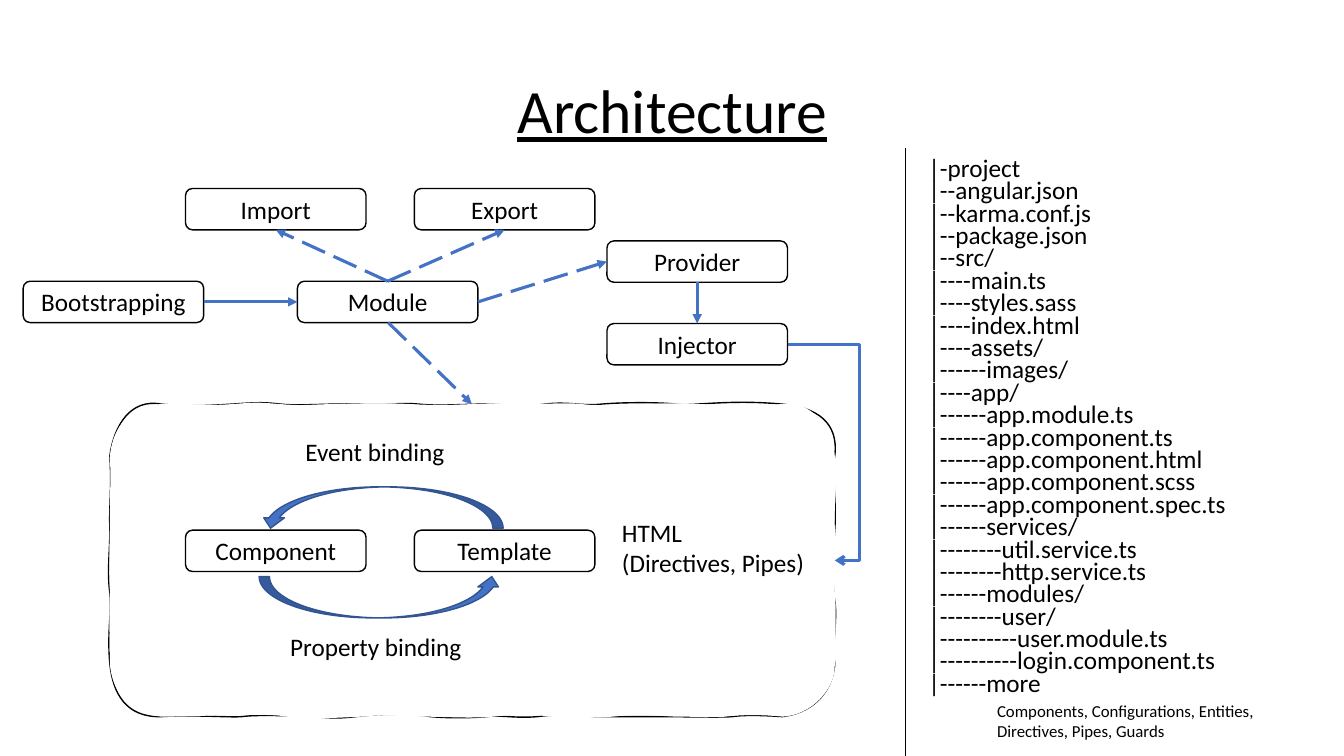
from pptx import Presentation
from pptx.util import Inches, Pt
from pptx.dml.color import RGBColor as Rgb
from pptx.enum.shapes import MSO_SHAPE as Shape, MSO_CONNECTOR as Link
from pptx.enum.dml import MSO_LINE as Dash
from pptx.enum.text import PP_ALIGN as Align, MSO_ANCHOR as Anchor, MSO_AUTO_SIZE as Fit
from pptx.oxml.ns import qn
from lxml.etree import SubElement as Sub

COLORS = {"ink": "000000", "paper": "FFFFFF", "blue": "4472C4", "navy": "325491"}
TOP, LEFT, BASE, RIGHT = range(4)


class Sketch:
    font = "Calibri"
    size = 18

    def __init__(self, slide):
        self.slide = slide
        self.area = slide.shapes

    def group(self):
        self.area = self.slide.shapes.add_group_shape().shapes

    def leave(self):
        self.area = self.slide.shapes

    def color(self, name):
        return Rgb.from_string(COLORS[name])

    def paint(self, item, fill, line):
        item.shadow.inherit = False
        item.fill.solid()
        item.fill.fore_color.rgb = self.color(fill)
        item.line.color.rgb = self.color(line)
        item.line.width = Pt(1)

    def put(self, part, text, size=None, under=None):
        run = part.add_run()
        run.text = text
        run.font.name = self.font
        run.font.size = Pt(size or self.size)
        run.font.underline = under
        run.font.color.rgb = self.color("ink")

    def box(self, text, x, y):
        item = self.area.add_shape(Shape.ROUNDED_RECTANGLE, Inches(x), Inches(y),
                                   Inches(1.79), Inches(0.41))
        self.paint(item, "paper", "ink")
        frame = item.text_frame
        frame.vertical_anchor = Anchor.MIDDLE
        part = frame.paragraphs[0]
        part.alignment = Align.CENTER
        self.put(part, text)
        return item

    def label(self, lines, x, y, wide, high=0.4, size=None):
        item = self.area.add_textbox(Inches(x), Inches(y), Inches(wide), Inches(high))
        frame = item.text_frame
        frame.word_wrap = True
        frame.auto_size = Fit.SHAPE_TO_FIT_TEXT
        for i, text in enumerate(lines):
            part = frame.add_paragraph() if i else frame.paragraphs[0]
            self.put(part, text, size)

    def title(self, text):
        item = self.area.add_textbox(Inches(0.92), Inches(0.4), Inches(11.5), Inches(1.45))
        frame = item.text_frame
        frame.word_wrap = True
        frame.vertical_anchor = Anchor.MIDDLE
        part = frame.paragraphs[0]
        part.alignment = Align.CENTER
        part.line_spacing = 0.9
        self.put(part, text, 44, True)

    def curve(self, x, y, turn):
        item = self.area.add_shape(Shape.CURVED_RIGHT_ARROW, Inches(x), Inches(y),
                                   Inches(0.41), Inches(2.41))
        item.rotation = turn
        self.paint(item, "blue", "navy")

    def line(self, start, end, kind=Link.STRAIGHT, color="blue", width=2.25,
             dash=False, head=None, tail=None):
        item = self.area.add_connector(kind, *map(Inches, start + end))
        item.line.color.rgb = self.color(color)
        item.line.width = Pt(width)
        if dash:
            item.line.dash_style = Dash.LONG_DASH
        props = item._element.spPr
        for tag, mark in (("a:headEnd", head), ("a:tailEnd", tail)):
            if mark:
                Sub(props.find(qn("a:ln")), qn(tag), type=mark)
        Sub(props, qn("a:effectLst"))
        return item

    def link(self, first, side, last, port, dash=False):
        item = self.line((0, 0), (1, 1), dash=dash, tail="triangle")
        item.begin_connect(first, side)
        item.end_connect(last, port)

    def elbow(self, start, end, bend):
        item = self.line(start, end, Link.ELBOW, head="arrow")
        geom = item._element.spPr.find(qn("a:prstGeom"))
        guides = geom.find(qn("a:avLst"))
        Sub(guides, qn("a:gd"), name="adj1", fmla=f"val {round(bend * 100000)}")

    def border(self, x, y, wide, high, tracks):
        maker = self.area.build_freeform(x, y, scale=Inches(0.01))
        maker.add_line_segments([(x + wide, y), (x + wide, y + high), (x, y + high)])
        item = maker.convert_to_shape()
        self.paint(item, "paper", "ink")
        route = item._element.spPr.find(qn("a:custGeom")).find(qn("a:pathLst"))
        for old in list(route):
            route.remove(old)
        for text, skip in tracks:
            nums = [int(n) for n in text.split()]
            spots = [(a - x, b - y) for a, b in zip(nums[::2], nums[1::2])]
            track = Sub(route, qn("a:path"), w=str(wide), h=str(high), **skip)
            self.step(track, "a:moveTo", spots[:1])
            for i in range(1, len(spots), 3):
                self.step(track, "a:cubicBezTo", spots[i:i + 3])
            Sub(track, qn("a:close"))

    def step(self, track, tag, spots):
        node = Sub(track, qn(tag))
        for x, y in spots:
            Sub(node, qn("a:pt"), x=str(x), y=str(y))


STROKE = """109 452 113 423 129 395 160 401 183 403 198 403 229 401 259 399 260 399 279 401
298 403 325 400 359 401 394 402 395 399 416 401 436 403 456 401 478 401
500 401 517 404 540 401 564 398 575 403 596 401 618 399 654 399 671 401
688 403 724 396 776 401 810 404 832 419 828 452 825 468 830 498 828 525
826 553 825 577 828 596 831 616 825 636 828 659 825 691 802 708 776 711
760 710 740 709 726 711 713 712 683 711 652 711 621 711 604 711 590 711
575 710 555 708 533 711 512 713 494 709 483 711 472 712 449 713 427 711
406 708 377 708 353 711 328 714 322 711 303 711 283 710 254 709 240 711
227 712 193 709 160 711 125 712 112 688 109 659 106 628 111 607 109 588
106 569 109 548 109 525 108 502 111 487 109 452"""
INSIDE = """109 452 112 423 130 401 160 401 193 400 202 403 229 401 256 399 254 399 279 401
303 403 310 401 329 401 347 401 372 399 409 401 446 403 450 401 472 401
494 400 500 401 522 401 543 401 561 399 578 401 595 403 606 401 628 401
650 401 666 399 696 401 727 402 739 402 776 401 804 397 825 423 828 452
831 477 827 499 828 523 829 548 826 568 828 588 830 608 828 638 828 659
829 684 804 710 776 711 758 709 734 709 720 711 707 712 693 711 670 711
647 710 636 708 608 711 580 713 569 711 552 711 535 710 516 708 490 711
463 713 445 711 415 711 385 710 380 709 359 711 337 712 303 714 284 711
265 707 197 711 160 711 133 709 112 692 109 659 109 646 108 609 109 596
109 583 108 551 109 523 109 496 110 469 109 452"""
FILES = """-project
--angular.json
--karma.conf.js
--package.json
--src/
----main.ts
----styles.sass
----index.html
----assets/
------images/
----app/
------app.module.ts
------app.component.ts
------app.component.html
------app.component.scss
------app.component.spec.ts
------services/
--------util.service.ts
--------http.service.ts
------modules/
--------user/
----------user.module.ts
----------login.component.ts
------more""".split()

deck = Presentation()
deck.slide_width, deck.slide_height = Inches(13.33), Inches(7.5)
art = Sketch(deck.slides.add_slide(deck.slide_layouts[6]))

boot = art.box("Bootstrapping", 0.23, 2.79)
core = art.box("Module", 2.95, 2.79)
intake = art.box("Import", 1.84, 1.87)
export = art.box("Export", 4.11, 1.87)
source = art.box("Provider", 6.02, 2.39)
inject = art.box("Injector", 6.02, 3.21)

art.group()
art.border(109, 401, 720, 310, [(STROKE, {"fill": "none"}), (INSIDE, {"stroke": "0"})])
art.box("Component", 1.84, 5.26)
art.box("Template", 4.11, 5.26)
art.curve(3.58, 3.83, 90)
art.curve(3.57, 4.72, 270)
art.label(["Event binding"], 2.93, 4.28, 1.82)
art.label(["Property binding"], 2.78, 6.21, 2.66)
art.label(["HTML", "(Directives, Pipes)"], 6.07, 5.08, 2.09, 0.71)
art.leave()

art.elbow((8.28, 5.56), (7.82, 3.42), -0.54)
art.link(source, BASE, inject, TOP)
art.link(core, TOP, intake, BASE, dash=True)
art.link(core, TOP, export, BASE, dash=True)
art.line((3.85, 3.2), (4.68, 4.01), dash=True, tail="triangle")
art.link(boot, RIGHT, core, LEFT)
art.link(core, RIGHT, source, LEFT, dash=True)
art.line((8.98, 1.47), (8.98, 7.5), color="ink", width=0.5)

for row, name in enumerate(FILES):
    art.label(["|" + name], 9.11, 1.46 + row * 5.11 / 23, 3.84)
art.title("Architecture")
art.label(["Components, Configurations, Entities, Directives, Pipes, Guards"],
          9.79, 6.9, 3.39, 0.5, 12)

deck.save("out.pptx")
